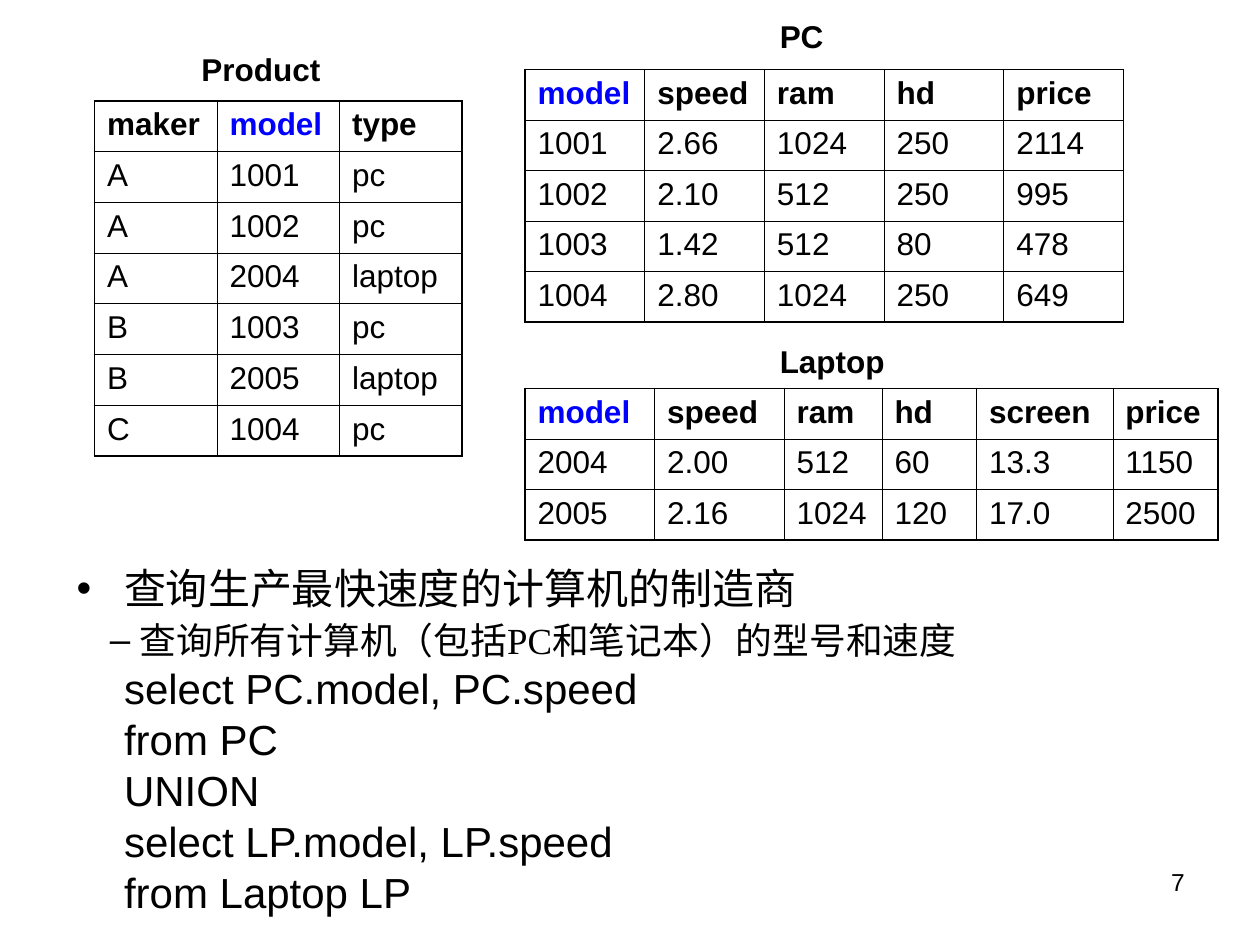
from pptx import Presentation
from pptx.dml.color import RGBColor
from pptx.enum.text import PP_ALIGN
from pptx.oxml import parse_xml
from pptx.oxml.ns import nsdecls
from pptx.util import Pt

BLACK = RGBColor(0x00, 0x00, 0x00)
BLUE = RGBColor(0x00, 0x00, 0xFF)
OUTER, INNER = 1.08, 0.45

PRODUCT = ["maker model type", "A 1001 pc", "A 1002 pc", "A 2004 laptop",
           "B 1003 pc", "B 2005 laptop", "C 1004 pc"]
PC = ["model speed ram hd price", "1001 2.66 1024 250 2114",
      "1002 2.10 512 250 995", "1003 1.42 512 80 478",
      "1004 2.80 1024 250 649"]
LAPTOP = ["model speed ram hd screen price", "2004 2.00 512 60 13.3 1150",
          "2005 2.16 1024 120 17.0 2500"]
QUERY = ["select PC.model, PC.speed", "from PC", "UNION",
         "select LP.model, LP.speed", "from Laptop LP"]


def style(p, size, color=BLACK, bold=False, font="Arial"):
    """Format every run of a paragraph."""
    for r in p.runs:
        r.font.name = font
        r.font.size = Pt(size)
        r.font.bold = bold
        r.font.color.rgb = color


def add_text(s, x, y, w, h, text, size, bold=False, align=PP_ALIGN.LEFT):
    """Add a one-paragraph text box."""
    tf = s.shapes.add_textbox(Pt(x), Pt(y), Pt(w), Pt(h)).text_frame
    tf.word_wrap = True
    tf.text = text
    tf.paragraphs[0].alignment = align
    style(tf.paragraphs[0], size, bold=bold)
    return tf


def set_borders(cell, widths):
    """Draw the left, right, top and bottom borders of a cell."""
    tcPr = cell._tc.get_or_add_tcPr()
    for side, width in zip("LRTB", widths):
        tcPr.append(parse_xml(
            f'<a:ln{side} {nsdecls("a")} w="{Pt(width)}"><a:solidFill>'
            f'<a:srgbClr val="{BLACK}"/></a:solidFill></a:ln{side}>'))


def add_grid(s, x, y, widths, row_height, lines):
    """Add a table with a heavier outline and a bold header row."""
    rows = [line.split() for line in lines]
    last_row, last_col = len(rows) - 1, len(widths) - 1
    table = s.shapes.add_table(len(rows), len(widths), Pt(x), Pt(y),
                               Pt(sum(widths)), Pt(row_height * len(rows))).table
    table.first_row = table.horz_banding = False
    for column, width in zip(table.columns, widths):
        column.width = Pt(width)
    for i, row in enumerate(rows):
        table.rows[i].height = Pt(row_height)
        for j, text in enumerate(row):
            cell = table.cell(i, j)
            cell.text = text
            color = BLUE if text == "model" else BLACK
            style(cell.text_frame.paragraphs[0], 18, color, bold=i == 0)
            edges = (j == 0, j == last_col, i == 0, i == last_row)
            set_borders(cell, [OUTER if edge else INNER for edge in edges])
            cell.fill.background()


def set_indent(p, left, hanging=0, bullet=None):
    """Set the indent of a paragraph and its bullet."""
    pPr = p._p.get_or_add_pPr()
    pPr.set("marL", str(Pt(left)))
    pPr.set("indent", str(Pt(-hanging)))
    if bullet:
        pPr.append(parse_xml(f'<a:buFont {nsdecls("a")} typeface="Arial"/>'))
        pPr.append(parse_xml(f'<a:buChar {nsdecls("a")} char="{bullet}"/>'))
    else:
        pPr.append(parse_xml(f'<a:buNone {nsdecls("a")}/>'))


def add_line(tf, text, size, font, spacing, before):
    """Append a spaced paragraph to a text frame."""
    p = tf.add_paragraph()
    p.text = text
    style(p, size, font=font)
    p.line_spacing = spacing
    p.space_before = Pt(before)
    return p


def add_body(s):
    """Add the question, its first step and the query."""
    tf = add_text(s, 36.8, 321, 648, 219, "查询生产最快速度的计算机的制造商", 24)
    p = tf.paragraphs[0]
    p.line_spacing = 0.9
    p.space_before = Pt(6)
    set_indent(p, 27, 27, "•")
    p = add_line(tf, "查询所有计算机（包括PC和笔记本）的型号和速度", 21,
                 "Times New Roman", 0.9, 5.2)
    p.level = 1
    set_indent(p, 36, 17, "–")
    for text in QUERY:
        set_indent(add_line(tf, text, 24, "Arial", 0.8, 6), 27)


def main():
    """Build the slide."""
    prs = Presentation()
    prs.slide_width, prs.slide_height = Pt(720), Pt(540)
    s = prs.slides.add_slide(prs.slide_layouts[6])
    add_body(s)
    add_grid(s, 54, 57.6, [70] * 3, 29, PRODUCT)
    add_grid(s, 300, 39.8, [68.4] * 5, 28.8, PC)
    add_grid(s, 300, 222, [74, 74, 56, 54, 78, 60], 28.8, LAPTOP)
    for text, x, y, w in (("Product", 108, 25.2, 90), ("PC", 438.5, 6, 46),
                          ("Laptop", 438.5, 192, 82)):
        add_text(s, x, y, w, 28.8, text, 18, bold=True)
    add_text(s, 516, 492, 168, 37.5, "7", 14, align=PP_ALIGN.RIGHT)
    prs.save("out.pptx")


main()
